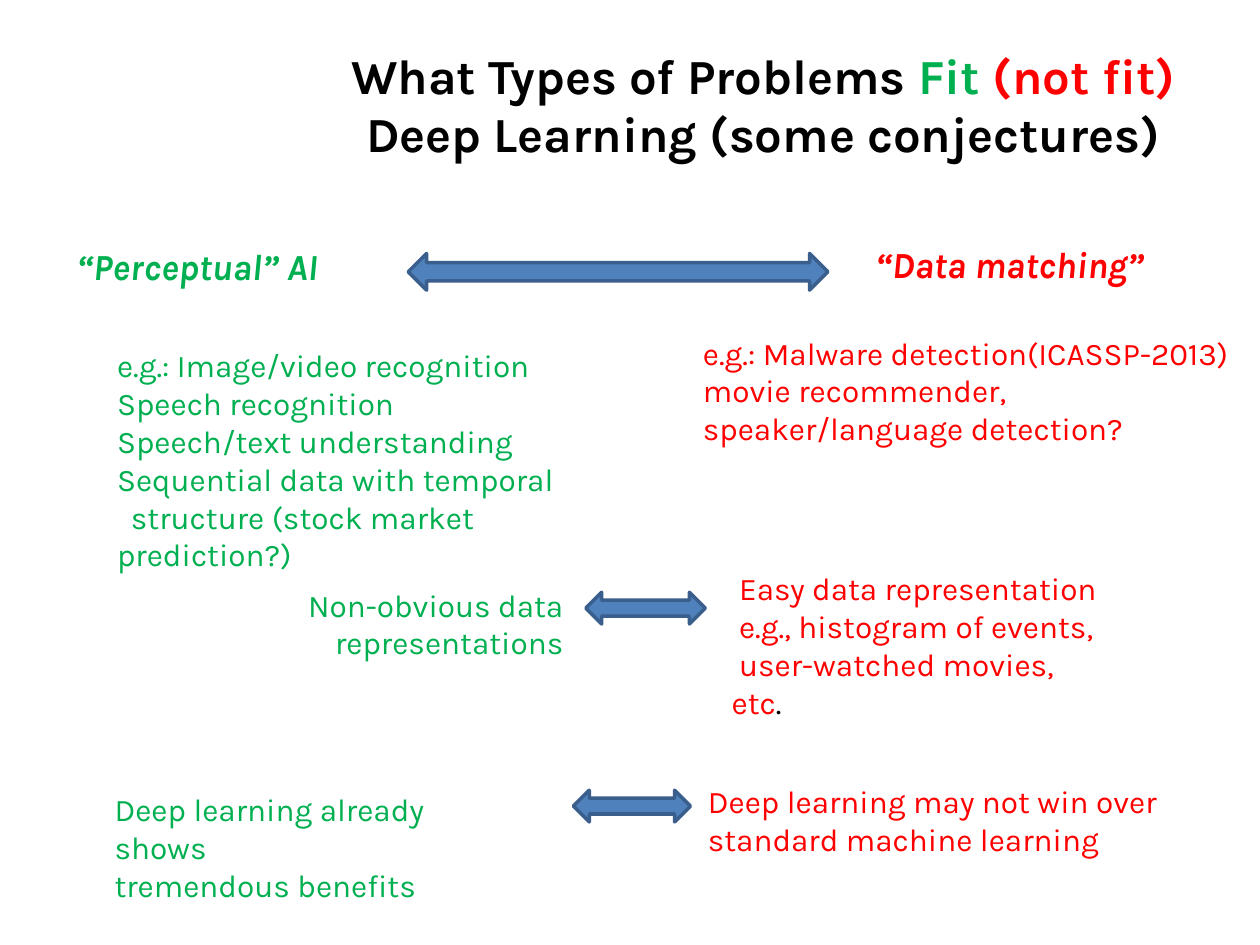
from dataclasses import dataclass

import pptx
import pptx.dml.color
import pptx.enum.shapes
import pptx.enum.text
import pptx.util
from pptx.util import Cm, Pt

ALIGN = pptx.enum.text.PP_ALIGN


@dataclass(frozen=True)
class Theme:
    font: str = "Karla"
    ink: str = "000000"
    fit: str = "00B050"
    unfit: str = "FF0000"
    arrow: str = "4F81BD"
    arrow_edge: str = "3A5F8C"
    title_size: int = 28
    heading_size: int = 21
    body_size: int = 18


THEME = Theme()


def rgb(value):
    return pptx.dml.color.RGBColor.from_string(value)


def style_run(run, color, size, bold=False, italic=False):
    run.font.name = THEME.font
    run.font.size = Pt(size)
    run.font.bold = bold
    run.font.italic = italic
    run.font.color.rgb = rgb(color)


def fit_frame(frame):
    frame.word_wrap = True
    frame.auto_size = pptx.enum.text.MSO_AUTO_SIZE.SHAPE_TO_FIT_TEXT
    frame.vertical_anchor = pptx.enum.text.MSO_ANCHOR.TOP


def add_title(slide, box, lines):
    """Fill the title from lines, each a list of (text, colour) pieces."""
    title = slide.shapes.title
    title.left, title.top, title.width, title.height = map(Cm, box)
    frame = title.text_frame
    fit_frame(frame)
    frame.margin_left = frame.margin_right = Cm(0.18)
    frame.margin_top = frame.margin_bottom = Cm(0.1)
    for number, pieces in enumerate(lines):
        line = frame.add_paragraph() if number else frame.paragraphs[0]
        line.alignment = ALIGN.CENTER
        for text, color in pieces:
            run = line.add_run()
            run.text = text
            style_run(run, color, THEME.title_size, bold=True)


def add_note(shapes, box, text, color, align=ALIGN.LEFT, indents=None):
    """Add body text; indents maps a line number to its first-line indent in cm."""
    frame = shapes.add_textbox(*map(Cm, box)).text_frame
    fit_frame(frame)
    frame.text = text
    for number, line in enumerate(frame.paragraphs):
        line.alignment = align
        if indents and number in indents:
            properties = line._p.get_or_add_pPr()
            properties.set("marL", "0")
            properties.set("indent", str(Cm(indents[number])))
        for run in line.runs:
            style_run(run, color, THEME.body_size)
    return frame


def add_heading(shapes, box, text, color):
    frame = add_note(shapes, box, text, color)
    style_run(frame.paragraphs[0].runs[0], color, THEME.heading_size, True, True)


def add_contrast_arrow(shapes, box):
    kind = pptx.enum.shapes.MSO_SHAPE.LEFT_RIGHT_ARROW
    arrow = shapes.add_shape(kind, *map(Cm, box))
    arrow.shadow.inherit = False
    arrow.fill.solid()
    arrow.fill.fore_color.rgb = rgb(THEME.arrow)
    arrow.line.color.rgb = rgb(THEME.arrow_edge)
    arrow.line.width = Pt(2)


def add_examples(shapes):
    add_note(shapes, (2.11, 6.86, 10.85, 4.11),
             "e.g.: Image/video recognition\nSpeech recognition\n"
             "Speech/text understanding\nSequential data with temporal\n"
             "structure (stock market prediction?)",
             THEME.fit, indents={4: 0.28})
    add_note(shapes, (13.92, 6.6, 11.81, 2.57),
             "e.g.: Malware detection(ICASSP-2013)\n"
             "movie recommender, speaker/language detection?", THEME.unfit)


def add_kinds(shapes):
    add_heading(shapes, (1.3, 4.78, 5.92, 1.14), "“Perceptual” AI", THEME.fit)
    add_heading(shapes, (17.4, 4.75, 6.5, 1.14), "“Data matching”", THEME.unfit)
    add_contrast_arrow(shapes, (8.23, 5.11, 8.46, 0.74))


def add_representations(shapes):
    easy = add_note(shapes, (14.5, 11.35, 7.98, 2.57),
                    "Easy data representation\ne.g., histogram of events,\n"
                    "user-watched movies, etc",
                    THEME.unfit, indents=dict.fromkeys(range(3), 0.15))
    full_stop = easy.paragraphs[-1].add_run()
    full_stop.text = "."
    style_run(full_stop, THEME.ink, THEME.body_size)
    add_note(shapes, (1.45, 11.68, 10.16, 1.8),
             "Non-obvious data representations", THEME.fit, ALIGN.RIGHT)
    add_contrast_arrow(shapes, (11.81, 11.94, 2.41, 0.64))


def add_benefits(shapes):
    add_note(shapes, (14.02, 15.65, 9.7, 1.8),
             "Deep learning may not win over\nstandard machine learning", THEME.unfit)
    add_note(shapes, (2.06, 15.8, 8.61, 1.8),
             "Deep learning already shows\ntremendous benefits", THEME.fit)
    add_contrast_arrow(shapes, (11.56, 15.93, 2.36, 0.64))


def main():
    deck = pptx.Presentation()
    deck.slide_width, deck.slide_height = Cm(25.4), Cm(19.05)
    slide = deck.slides.add_slide(deck.slide_layouts[5])
    add_title(slide, (4.83, 0.81, 21.36, 2.59), [
        [("What Types of Problems ", THEME.ink), ("Fit ", THEME.fit),
         ("(not fit) ", THEME.unfit)],
        [("Deep Learning (some conjectures) ", THEME.ink)],
    ])
    for add_row in (add_examples, add_kinds, add_representations, add_benefits):
        add_row(slide.shapes.add_group_shape().shapes)
    deck.save("out.pptx")


if __name__ == "__main__":
    main()
